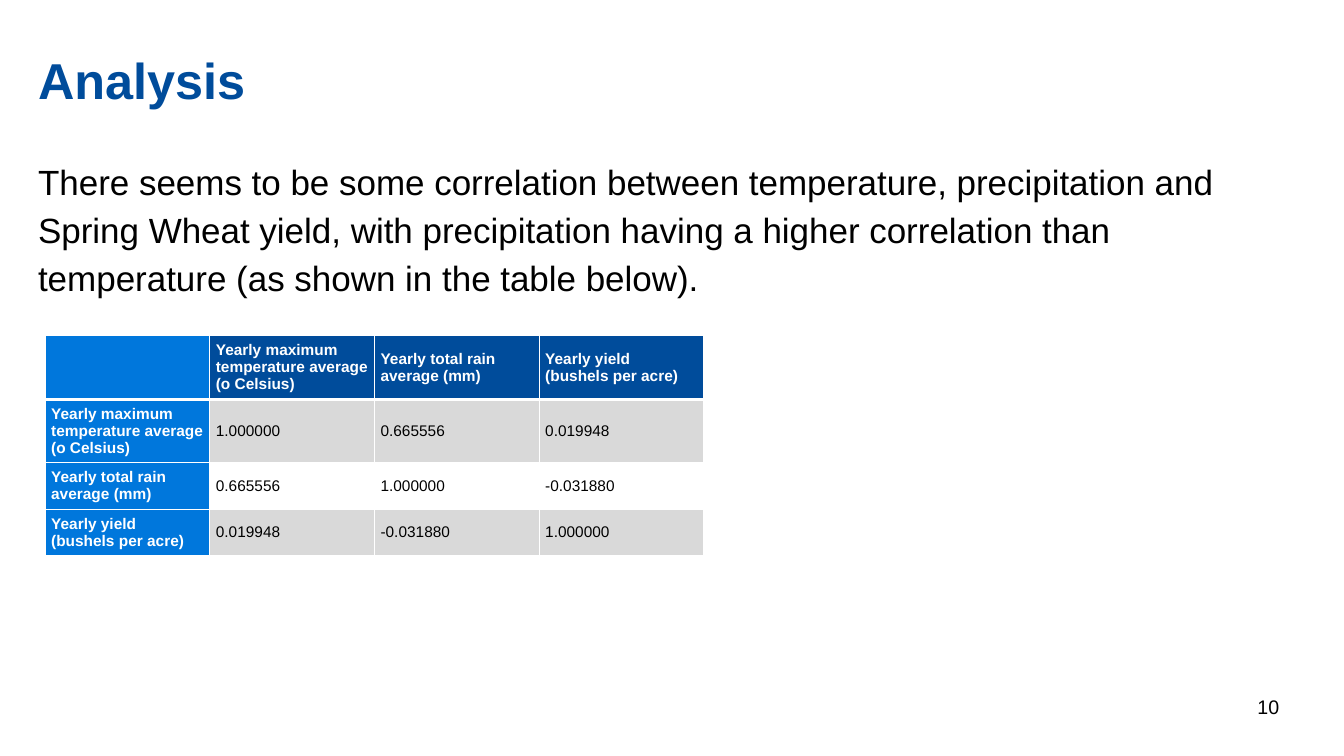
from lxml import etree
from pptx import Presentation
from pptx import util as u
from pptx.dml.color import RGBColor
from pptx.enum import text
from pptx.oxml.ns import qn

NAVY = RGBColor(0x00, 0x4C, 0x9B)
BLUE = RGBColor(0x00, 0x77, 0xDC)
GRAY = RGBColor(0xD9, 0xD9, 0xD9)
WHITE = RGBColor(0xFF, 0xFF, 0xFF)
BLACK = RGBColor(0x00, 0x00, 0x00)

LABELS = [
    "Yearly maximum temperature average (o Celsius)",
    "Yearly total rain average (mm)",
    "Yearly yield (bushels per acre)",
]
VALUES = [
    ["1.000000", "0.665556", "0.019948"],
    ["0.665556", "1.000000", "-0.031880"],
    ["0.019948", "-0.031880", "1.000000"],
]
HEIGHTS = [1.6, 1.6, 1.17, 1.17]


class Page:
    face = "Arial"

    def __init__(self, deck):
        self.slide = deck.slides.add_slide(deck.slide_layouts[5])

    def style(self, para, size, color, bold=False):
        font = para.font
        font.name, font.size, font.bold = self.face, u.Pt(size), bold
        font.color.rgb = color

    def place(self, shape, words, size, color, area, bold=False,
              align=text.PP_ALIGN.LEFT, lead=1.0, pad=0.25):
        shape.left, shape.top, shape.width, shape.height = map(u.Cm, area)
        frame = shape.text_frame
        frame.text = words
        frame.word_wrap = True
        frame.auto_size = text.MSO_AUTO_SIZE.NONE
        frame.vertical_anchor = text.MSO_ANCHOR.TOP
        frame.margin_left = frame.margin_right = u.Cm(0.25)
        frame.margin_top = frame.margin_bottom = u.Cm(pad)
        para = frame.paragraphs[0]
        para.alignment, para.line_spacing = align, lead
        self.style(para, size, color, bold)
        return frame

    def title(self, words, area):
        self.place(self.slide.shapes.title, words, 36, NAVY, area,
                   bold=True, lead=0.95)

    def label(self, words, size, area, **look):
        box = self.slide.shapes.add_textbox(0, 0, 0, 0)
        return self.place(box, words, size, BLACK, area, **look)

    def border(self, cell, side, width):
        props = cell._tc.get_or_add_tcPr()
        line = etree.SubElement(props, qn("a:ln" + side), w=str(u.Pt(width)))
        fill = etree.SubElement(line, qn("a:solidFill"))
        etree.SubElement(fill, qn("a:srgbClr"), val=str(WHITE))

    def cell(self, cell, words, row, col):
        head = row == 0 or col == 0
        cell.text = words
        cell.vertical_anchor = text.MSO_ANCHOR.MIDDLE
        cell.margin_left = cell.margin_right = u.Cm(0.15)
        cell.margin_top = cell.margin_bottom = u.Cm(0.15)
        self.style(cell.text_frame.paragraphs[0], 11,
                   WHITE if head else BLACK, head)
        for side in "LRTB":
            thick = (row, side) in ((0, "B"), (1, "T"))
            self.border(cell, side, 2.25 if thick else 0.75)
        cell.fill.solid()
        if col == 0:
            shade = BLUE
        elif row == 0:
            shade = NAVY
        else:
            shade = GRAY if row % 2 else WHITE
        cell.fill.fore_color.rgb = shade

    def table(self, rows, left, top, width):
        count = len(rows[0])
        grid = self.slide.shapes.add_table(
            len(rows), count, u.Cm(left), u.Cm(top),
            u.Cm(width * count), u.Cm(sum(HEIGHTS))).table
        for col in grid.columns:
            col.width = u.Cm(width)
        for r, words in enumerate(rows):
            grid.rows[r].height = u.Cm(HEIGHTS[r])
            for c, word in enumerate(words):
                self.cell(grid.cell(r, c), word, r, c)


def main():
    deck = Presentation()
    deck.slide_width, deck.slide_height = u.Cm(33.87), u.Cm(19.05)
    page = Page(deck)
    page.title("Analysis", (0.71, 1.09, 31.27, 2.97))
    page.label(
        "There seems to be some correlation between temperature, "
        "precipitation and Spring Wheat yield, with precipitation having a "
        "higher correlation than temperature (as shown in the table below).",
        25, (0.71, 3.63, 31.27, 4.04), lead=1.15)
    rows = [["", *LABELS]]
    rows += [[name, *vals] for name, vals in zip(LABELS, VALUES)]
    page.table(rows, 1.14, 8.46, 4.15)
    number = page.label("10", 14, (31.01, 17.3, 1.48, 1.02),
                        align=text.PP_ALIGN.RIGHT, pad=0.13)
    number.vertical_anchor = text.MSO_ANCHOR.MIDDLE
    deck.save("out.pptx")


if __name__ == "__main__":
    main()
